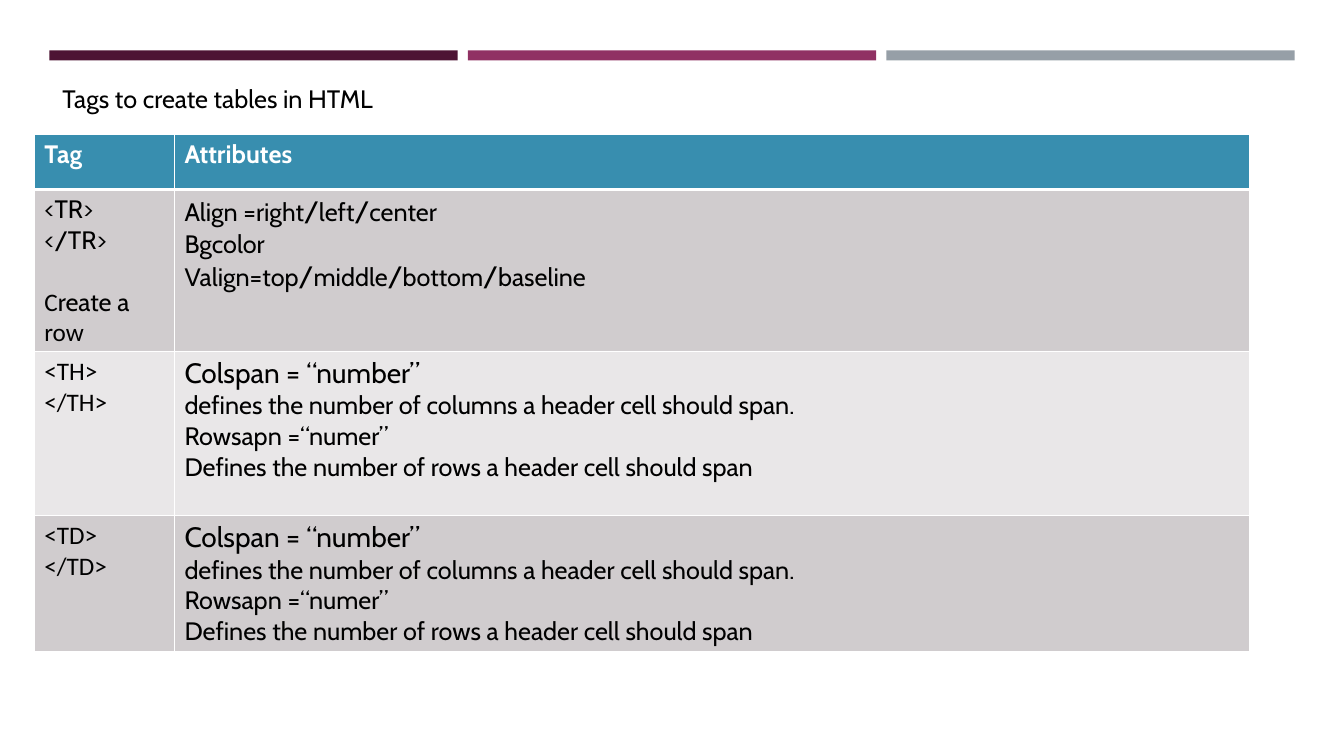
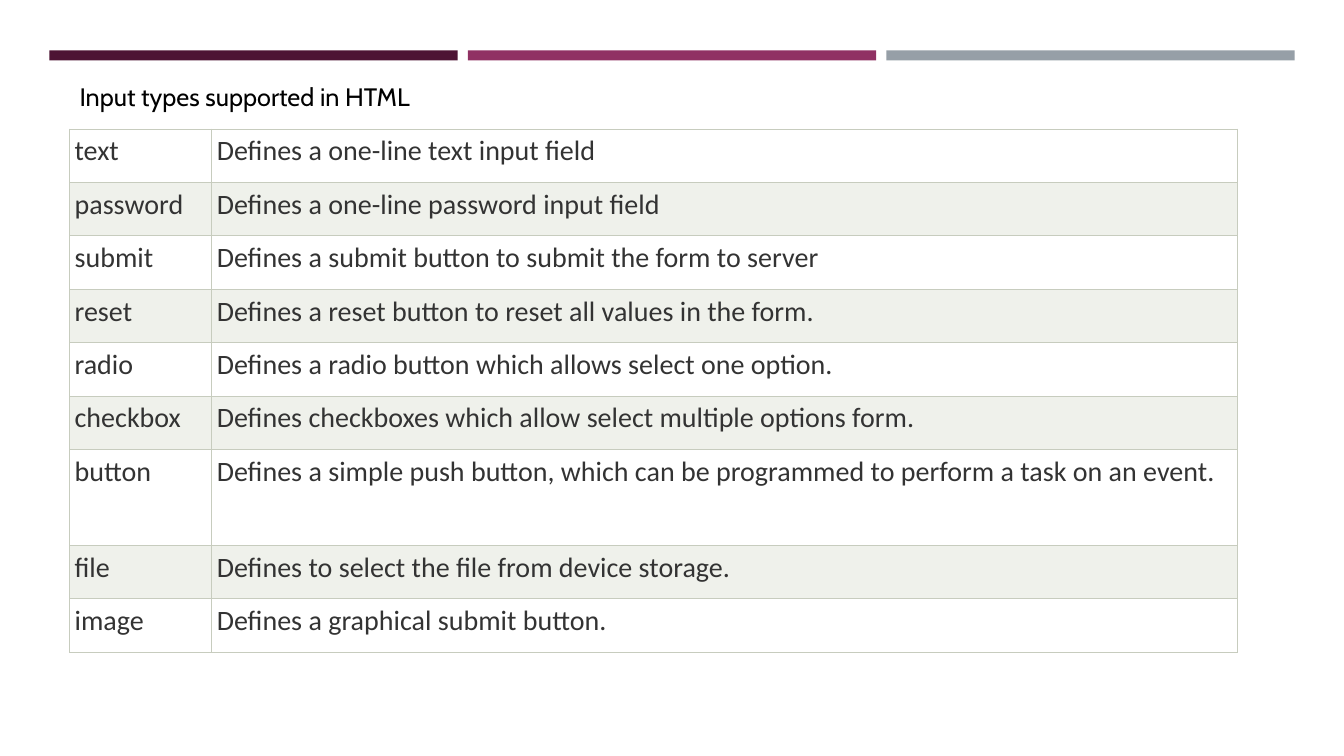
from dataclasses import dataclass

import pptx
import pptx.dml.color
import pptx.enum.shapes
import pptx.enum.text
import pptx.oxml
import pptx.oxml.ns
import pptx.util

Inches = pptx.util.Inches
Pt = pptx.util.Pt
ALIGN = pptx.enum.text.PP_ALIGN


@dataclass(frozen=True)
class Theme:
    bands: tuple[str, ...] = ("4D1434", "903163", "969FA7")
    black: str = "000000"
    white: str = "FFFFFF"
    header: str = "388EAF"
    tag_fills: tuple[str, ...] = ("D0CCCE", "E9E7E8")
    input_text: str = "333333"
    input_border: str = "C7CCBE"
    input_fills: tuple[str, ...] = ("FFFFFF", "EFF1EB")
    main_font: str = "Cabin"
    plain_font: str = "Calibri"
    body: float = 18
    large: float = 20


THEME = Theme()


@dataclass(frozen=True)
class Span:
    text: str
    size: float = THEME.body
    font: str = THEME.main_font
    color: str = THEME.black
    bold: bool = False


@dataclass(frozen=True)
class Para:
    spans: tuple[Span, ...]
    space_before: float = 0
    align: ALIGN = ALIGN.LEFT


@dataclass(frozen=True)
class Cell:
    paras: tuple[Para, ...]
    fill: str


@dataclass(frozen=True)
class Grid:
    left: float
    top: float
    columns: tuple[float, ...]
    rows: tuple[float, ...]
    cells: list[tuple[Cell, Cell]]
    border: str
    border_width: float
    header_rule: float
    side_margin: float


def line(text: str, *, space_before: float = 0, align: ALIGN = ALIGN.LEFT, **format) -> Para:
    """Return a paragraph with one format throughout."""
    return Para((Span(text, **format),), space_before, align)


def slashed(text: str) -> Para:
    """Return a paragraph whose slashes are set larger than its words."""
    first, *others = text.split("/")
    spans = [Span(first)]
    for word in others:
        spans += [Span("/", size=THEME.large), Span(word)]
    return Para(tuple(spans))


def rgb(color: str) -> pptx.dml.color.RGBColor:
    return pptx.dml.color.RGBColor.from_string(color)


def write(frame, paras: tuple[Para, ...]) -> None:
    frame.word_wrap = True
    for index, para in enumerate(paras):
        paragraph = frame.add_paragraph() if index else frame.paragraphs[0]
        paragraph.alignment = para.align
        if index and para.space_before:
            paragraph.space_before = Pt(para.space_before)
        for span in para.spans:
            run = paragraph.add_run()
            run.text = span.text
            run.font.name = span.font
            run.font.size = Pt(span.size)
            run.font.bold = span.bold
            run.font.color.rgb = rgb(span.color)


def add_border(cell, side: str, color: str, width: float) -> None:
    cell._tc.get_or_add_tcPr().append(pptx.oxml.parse_xml(
        f'<a:ln{side} {pptx.oxml.ns.nsdecls("a")} w="{Pt(width)}"><a:solidFill>'
        f'<a:srgbClr val="{color}"/></a:solidFill></a:ln{side}>'))


def add_grid(page, grid: Grid) -> None:
    table = page.shapes.add_table(
        len(grid.rows), len(grid.columns), Inches(grid.left), Inches(grid.top),
        Inches(sum(grid.columns)), Inches(sum(grid.rows))).table
    table.first_row = table.horz_banding = False
    for column, width in zip(table.columns, grid.columns):
        column.width = Inches(width)
    for row_index, (row, height) in enumerate(zip(table.rows, grid.rows)):
        row.height = Inches(height)
        rule_side = {0: "B", 1: "T"}.get(row_index)
        for cell, content in zip(row.cells, grid.cells[row_index]):
            cell.margin_left = cell.margin_right = Inches(grid.side_margin)
            cell.margin_top = cell.margin_bottom = Inches(0.05)
            for side in "LRTB":
                width = grid.header_rule if side == rule_side else grid.border_width
                add_border(cell, side, grid.border, width)
            cell.fill.solid()
            cell.fill.fore_color.rgb = rgb(content.fill)
            write(cell.text_frame, content.paras)


def add_page(deck, title: str, left: float, top: float, width: float):
    """Add a blank slide with the three bands and its title."""
    page = deck.slides.add_slide(deck.slide_layouts[6])
    for index, color in enumerate(THEME.bands):
        band = page.shapes.add_shape(
            pptx.enum.shapes.MSO_SHAPE.RECTANGLE, Inches(0.49 + 4.15 * index),
            Inches(0.5), Inches(4.05), Inches(0.1))
        band.shadow.inherit = False
        band.fill.solid()
        band.fill.fore_color.rgb = rgb(color)
        band.line.fill.background()
    box = page.shapes.add_textbox(Inches(left), Inches(top), Inches(width), Inches(0.4))
    write(box.text_frame, (line(title),))
    return page


def tag_grid() -> Grid:
    dark, light = THEME.tag_fills
    plain = THEME.plain_font
    header = tuple(
        Cell((line(text, color=THEME.white, bold=True),), THEME.header)
        for text in ("Tag", "Attributes"))
    create_row = Para(
        (Span("C", font=plain), Span("reate a "), Span("row", font=plain)), space_before=22)
    row_tag = (
        Cell((line("<TR>"), line("</TR>"), create_row), dark),
        Cell((slashed("Align =right/left/center"), line("Bgcolor"),
              slashed("Valign=top/middle/bottom/baseline")), dark))
    span_attributes = (
        line("Colspan = “number”", size=THEME.large),
        line("defines the number of columns a header cell should span."),
        line("Rowsapn =“numer”"),
        line("Defines the number of rows a header cell should span"))
    cell_tags = [
        (Cell((line(f"<{tag}>", font=plain), line(f"</{tag}>", font=plain)), fill),
         Cell(span_attributes, fill))
        for tag, fill in (("TH", light), ("TD", dark))]
    return Grid(
        left=0.34, top=1.33, columns=(1.39, 10.66), rows=(0.55, 1.6, 1.63, 1.35),
        cells=[header, row_tag, *cell_tags], border=THEME.white, border_width=1,
        header_rule=3, side_margin=0.1)


INPUT_TYPES = {
    "text": "Defines a one-line text input field",
    "password": "Defines a one-line password input field",
    "submit": "Defines a submit button to submit the form to server",
    "reset": "Defines a reset button to reset all values in the form.",
    "radio": "Defines a radio button which allows select one option.",
    "checkbox": "Defines checkboxes which allow select multiple options form.",
    "button": "Defines a simple push button, which can be programmed to perform "
              "a task on an event.",
    "file": "Defines to select the file from device storage.",
    "image": "Defines a graphical submit button.",
}


def input_grid() -> Grid:
    def input_cell(text: str, index: int) -> Cell:
        para = line(text, size=THEME.large, font=THEME.plain_font,
                    color=THEME.input_text, align=ALIGN.JUSTIFY)
        return Cell((para,), THEME.input_fills[index % 2])

    return Grid(
        left=0.69, top=1.28, columns=(1.41, 10.17),
        rows=tuple(0.95 if name == "button" else 0.53 for name in INPUT_TYPES),
        cells=[(input_cell(name, index), input_cell(meaning, index))
               for index, (name, meaning) in enumerate(INPUT_TYPES.items())],
        border=THEME.input_border, border_width=0.75, header_rule=0.75, side_margin=0.05)


def main() -> None:
    deck = pptx.Presentation()
    deck.slide_width, deck.slide_height = Inches(13.33), Inches(7.5)
    add_grid(add_page(deck, "Tags to create tables in HTML", 0.52, 0.78, 4.45), tag_grid())
    add_grid(add_page(deck, "Input types supported in HTML", 0.69, 0.76, 4.61), input_grid())
    deck.save("out.pptx")


if __name__ == "__main__":
    main()
